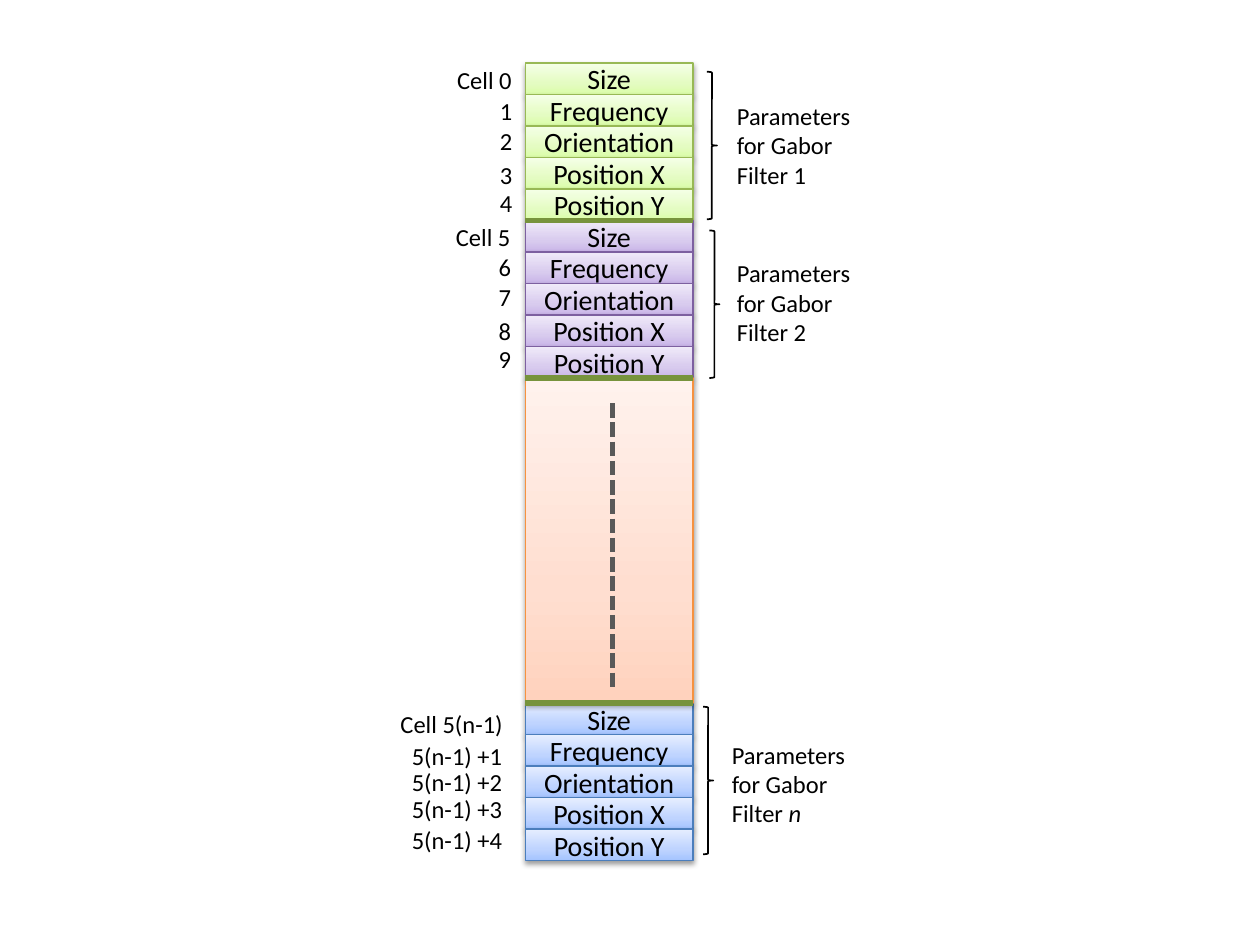
import copy
from dataclasses import dataclass

import lxml.etree
import pptx
import pptx.dml.color
import pptx.enum.dml
import pptx.enum.shapes
import pptx.enum.text
import pptx.oxml
import pptx.oxml.ns
import pptx.util

Inches, Pt = pptx.util.Inches, pptx.util.Pt
RGB = pptx.dml.color.RGBColor.from_string
SHAPE = pptx.enum.shapes.MSO_SHAPE
qn = pptx.oxml.ns.qn


@dataclass(frozen=True)
class Theme:
    font: str = "Calibri"
    cell_size: int = 16
    label_size: int = 14
    ink: str = "000000"
    divider: str = "77933C"
    dashes: str = "595959"
    # Gradient colours from bottom to top, then the outline
    green: tuple = ("DAFDA7", "E4FCC2", "F5FFE7", "98B955")
    purple: tuple = ("C9B5E8", "D8CBEE", "F0EAF9", "7D60A0")
    blue: tuple = ("A4C4FF", "BFD4FF", "E6EEFF", "4B7EBC")
    orange: tuple = ("FFD2BD", "FFDED0", "FFF2ED", "F69240")


THEME = Theme()
PARAMETERS = ["Size", "Frequency", "Orientation", "Position X", "Position Y"]
COLUMN_LEFT, COLUMN_WIDTH, CELL_HEIGHT = 4.17, 1.33, 0.25
SHADOW = (
    '<a:effectLst xmlns:a="http://schemas.openxmlformats.org/drawingml/2006/main">'
    '<a:outerShdw blurRad="40000" dist="20000" dir="5400000" rotWithShape="0">'
    '<a:srgbClr val="000000"><a:alpha val="38000"/></a:srgbClr>'
    '</a:outerShdw></a:effectLst>')


def style_text(frame, size):
    for paragraph in frame.paragraphs:
        for run in paragraph.runs:
            run.font.name = THEME.font
            run.font.size = Pt(size)
            run.font.color.rgb = RGB(THEME.ink)


def add_box(slide, left, top, width, height, palette):
    """Rectangle with a three-stop gradient and a soft shadow below."""
    box = slide.shapes.add_shape(SHAPE.RECTANGLE, Inches(left), Inches(top),
                                 Inches(width), Inches(height))
    *colours, outline = palette
    box.fill.gradient()
    box.fill.gradient_angle = 90
    stop_list = box.element.spPr.find(".//" + qn("a:gsLst"))
    stop_list.append(copy.deepcopy(stop_list[-1]))
    for stop, colour, position in zip(box.fill.gradient_stops, colours, (0, 0.35, 1)):
        stop.color.rgb = RGB(colour)
        stop.position = position
    box.line.color.rgb = RGB(outline)
    box.line.width = Pt(0.75)
    box.element.spPr.append(pptx.oxml.parse_xml(SHADOW))
    return box


def add_label(slide, left, top, width, height, text, wrap=False):
    label = slide.shapes.add_textbox(Inches(left), Inches(top),
                                     Inches(width), Inches(height))
    frame = label.text_frame
    frame.word_wrap = wrap
    frame.text = text
    style_text(frame, THEME.label_size)
    return frame


def add_line(slide, start, end, colour, width):
    line = slide.shapes.add_connector(pptx.enum.shapes.MSO_CONNECTOR.STRAIGHT,
                                      *map(Inches, start + end))
    line.line.color.rgb = RGB(colour)
    line.line.width = Pt(width)
    lxml.etree.SubElement(line.element.spPr, qn("a:effectLst"))
    return line


def add_parameter_cells(slide, left, top, palette):
    for row, parameter in enumerate(PARAMETERS):
        cell = add_box(slide, left, top + row * CELL_HEIGHT,
                       COLUMN_WIDTH, CELL_HEIGHT, palette)
        frame = cell.text_frame
        frame.text = parameter
        frame.vertical_anchor = pptx.enum.text.MSO_ANCHOR.MIDDLE
        frame.paragraphs[0].alignment = pptx.enum.text.PP_ALIGN.CENTER
        style_text(frame, THEME.cell_size)


def add_gap(slide, left, top, height):
    """Stretch of the column standing for the filters not shown."""
    add_box(slide, left, top, COLUMN_WIDTH, height, THEME.orange)
    centre = left + 0.69
    dashes = add_line(slide, (centre, top + 0.2), (centre, top + height - 0.13),
                      THEME.dashes, 2.75)
    dashes.line.dash_style = pptx.enum.dml.MSO_LINE.SQUARE_DOT


def add_dividers(slide, left, tops):
    for top in tops:
        add_line(slide, (left, top), (left + COLUMN_WIDTH, top), THEME.divider, 3)


def add_numbered_indexes(slide, right, top, first):
    """Cell numbers of a filter whose position is known."""
    for row, offset in enumerate((0, 0.24, 0.48, 0.75, 0.97)):
        text, width = (f"Cell {first}", 0.64) if row == 0 else (str(first + row), 0.3)
        add_label(slide, right - width, top + offset, width, 0.34, text)


def add_general_indexes(slide, left, top):
    """Cell numbers of filter n, written as formulas."""
    add_label(slide, left, top, 1.02, 0.34, "Cell 5(n-1)")
    for row, offset in enumerate((0.25, 0.46, 0.67, 0.92), start=1):
        add_label(slide, left + 0.09, top + offset, 1, 0.33, f"5(n-1) +{row}", wrap=True)


def add_filter_caption(slide, brace_left, brace_top, left, top, number):
    brace = slide.shapes.add_shape(SHAPE.RIGHT_BRACE, Inches(brace_left),
                                   Inches(brace_top), Inches(0.08), Inches(1.17))
    brace.shadow.inherit = False
    brace.fill.background()
    brace.line.color.rgb = RGB(THEME.ink)
    brace.line.width = Pt(1)
    frame = add_label(slide, left, top, 1.17, 0.81, "Parameters for Gabor Filter ", wrap=True)
    number_run = frame.paragraphs[0].add_run()
    number_run.text = number
    if number == "n":
        number_run.font.italic = True
    style_text(frame, THEME.label_size)


def build_slide(presentation):
    slide = presentation.slides.add_slide(presentation.slide_layouts[6])
    first_top, second_top, gap_top, last_top = 0.5, 1.75, 3, 5.58

    # Memory column
    for top, palette in ((first_top, THEME.green), (second_top, THEME.purple),
                         (last_top, THEME.blue)):
        add_parameter_cells(slide, COLUMN_LEFT, top, palette)
    add_gap(slide, COLUMN_LEFT, gap_top, last_top - gap_top)
    add_dividers(slide, COLUMN_LEFT, (second_top, gap_top, last_top))

    # Cell indexes on the left
    add_numbered_indexes(slide, 4.17, first_top - 0.03, 0)
    add_numbered_indexes(slide, 4.16, second_top - 0.04, 5)
    add_general_indexes(slide, 3.08, last_top)

    # Braces and captions on the right
    add_filter_caption(slide, 5.61, 0.57, 5.75, 0.75, "1")
    add_filter_caption(slide, 5.63, 1.83, 5.75, 2, "2")
    add_filter_caption(slide, 5.58, 5.61, 5.71, 5.82, "n")


presentation = pptx.Presentation()
presentation.slide_width, presentation.slide_height = Inches(10), Inches(7.5)
build_slide(presentation)
presentation.save("out.pptx")
